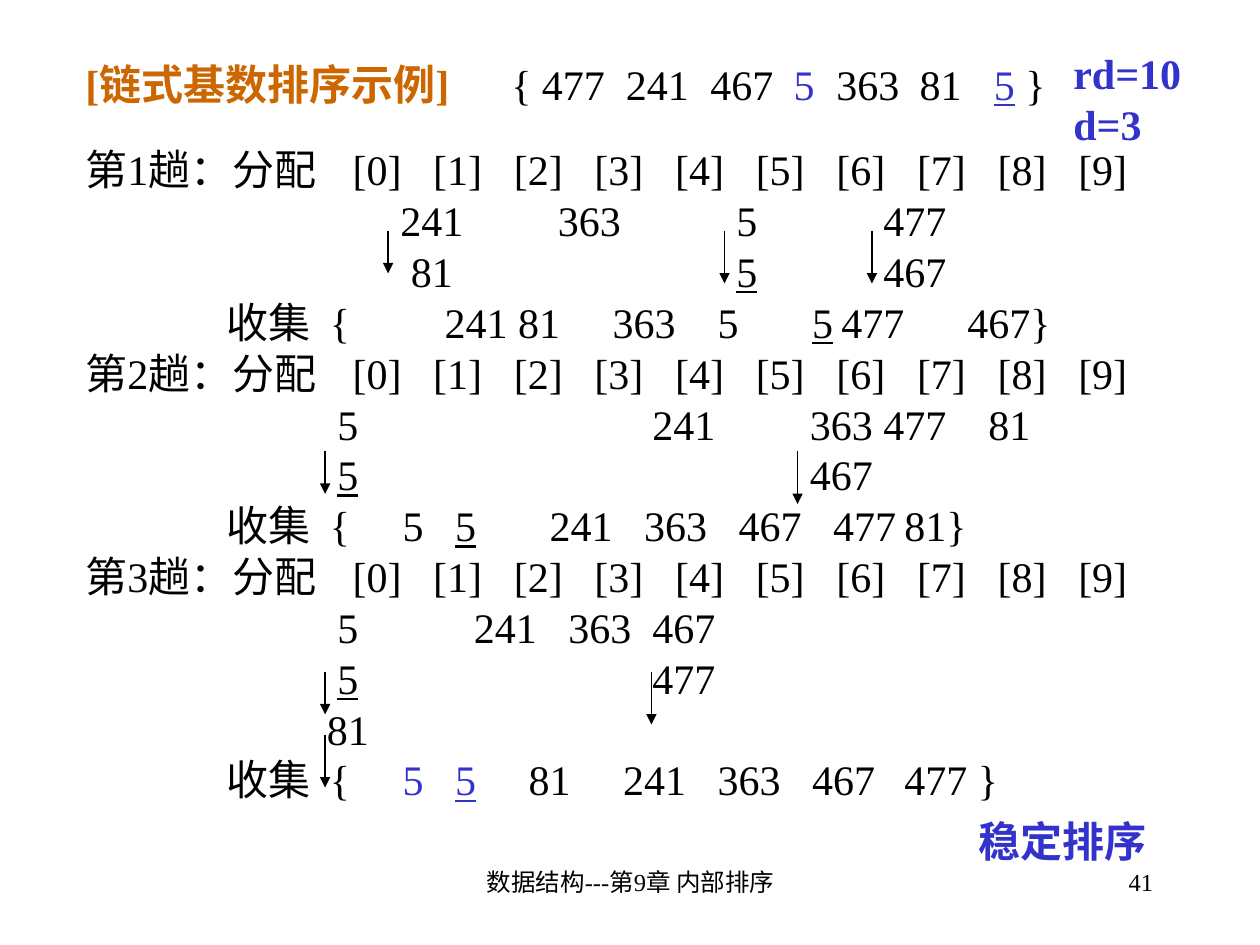
from dataclasses import dataclass

from lxml import etree
from pptx import Presentation
from pptx.dml.color import RGBColor
from pptx.enum.shapes import MSO_CONNECTOR
from pptx.enum.text import MSO_ANCHOR, PP_ALIGN
from pptx.oxml.ns import qn
from pptx.util import Inches, Pt

BLACK = RGBColor(0x00, 0x00, 0x00)
BLUE = RGBColor(0x33, 0x33, 0xCC)
ORANGE = RGBColor(0xCC, 0x66, 0x00)

# A digit at 24 points is two units wide
UNIT = 1 / 12
BUCKET_LEFT, BUCKET_STEP = 2.12, 0.64
COLLECT_LEFT, BRACE_LEFT, LIST_LEFT = 1.12, 1.94, 2.1


@dataclass
class Cell:
    left: float
    text: str
    color: RGBColor = BLACK
    underline: bool = False
    bold: bool = False


@dataclass
class SlideBuilder:
    slide: object
    font: str = "Times New Roman"
    size: int = 24

    def format_run(self, run, color=BLACK, bold=False, underline=False, size=None):
        run.font.name = self.font
        run.font.size = Pt(size or self.size)
        run.font.color.rgb = color
        run.font.bold = bold
        run.font.underline = underline

    def frame(self, left, top, width, height):
        box = self.slide.shapes.add_textbox(
            Inches(left), Inches(top), Inches(width), Inches(height))
        box.text_frame.word_wrap = True
        return box.text_frame

    def label(self, text, place, align=PP_ALIGN.LEFT, **style):
        paragraph = self.frame(*place).paragraphs[0]
        paragraph.text = text
        paragraph.alignment = align
        self.format_run(paragraph.runs[0], **style)

    def tabbed_line(self, paragraph, cells):
        """Place each cell at its own tab stop; a cell at 0 needs none."""
        stops = etree.SubElement(paragraph._p.get_or_add_pPr(), qn("a:tabLst"))
        for cell in cells:
            if cell.left:
                etree.SubElement(stops, qn("a:tab"),
                                 pos=str(Inches(cell.left)), algn="l")
                tab = paragraph.add_run()
                tab.text = "\t"
                self.format_run(tab)
            run = paragraph.add_run()
            run.text = cell.text
            self.format_run(run, cell.color, cell.bold, cell.underline)

    def title(self, place, cells):
        text_frame = self.frame(*place)
        text_frame.vertical_anchor = MSO_ANCHOR.MIDDLE
        self.tabbed_line(text_frame.paragraphs[0], cells)

    def body(self, place, rows):
        text_frame = self.frame(*place)
        for index, cells in enumerate(rows):
            paragraph = text_frame.add_paragraph() if index else text_frame.paragraphs[0]
            paragraph.line_spacing = 0.8
            paragraph.space_before = Pt(6)
            self.tabbed_line(paragraph, cells)

    def arrow(self, x, top, bottom):
        connector = self.slide.shapes.add_connector(
            MSO_CONNECTOR.STRAIGHT, Inches(x), Inches(top), Inches(x), Inches(bottom))
        connector.line.color.rgb = BLACK
        connector.line.width = Pt(0.75)
        etree.SubElement(connector.line._get_or_add_ln(), qn("a:tailEnd"), type="triangle")
        etree.SubElement(connector._element.spPr, qn("a:effectLst"))


def distribute(number):
    buckets = [Cell(BUCKET_LEFT + BUCKET_STEP * digit, f"[{digit}]") for digit in range(10)]
    return [Cell(0, f"第{number}趟：分配")] + buckets


def queue(*entries):
    """Entries are (column in units, number); a third item marks the second 5."""
    return [Cell(column * UNIT, text, underline=bool(second))
            for column, text, *second in entries]


def collect(numbers, ending="}", five_color=BLACK):
    cells = [Cell(COLLECT_LEFT, "收集"), Cell(BRACE_LEFT, "{")]
    left, fives = LIST_LEFT, 0
    for number in numbers.split():
        is_five = number == "5"
        fives += is_five
        cells.append(Cell(left, number, five_color if is_five else BLACK,
                          is_five and fives == 2))
        left += (2 * len(number) + 3) * UNIT
    # The closing brace follows the last number directly
    cells[-1].text += ending
    return cells


def main():
    presentation = Presentation()
    presentation.slide_width, presentation.slide_height = Inches(10), Inches(7.5)
    builder = SlideBuilder(presentation.slides.add_slide(presentation.slide_layouts[6]))

    # Footer
    builder.label("数据结构---第9章 内部排序", (3.42, 6.83, 3.17, 0.5), PP_ALIGN.CENTER, size=14)
    builder.label("41", (7.17, 6.83, 2.08, 0.5), PP_ALIGN.RIGHT, size=14)

    # Title with the input list
    builder.title((0.58, 0.5, 8.5, 0.33), [
        Cell(0, "[链式基数排序示例]", ORANGE, bold=True),
        Cell(3.38, "{ 477"), Cell(4.29, "241"), Cell(4.96, "467"),
        Cell(5.62, "5", BLUE), Cell(5.96, "363"), Cell(6.62, "81"),
        Cell(7.21, "5", BLUE, underline=True), Cell(7.46, "}"),
    ])

    # Three passes
    builder.body((0.58, 1.17, 8.83, 5.67), [
        distribute(1),
        queue((30, "241"), (45, "363"), (62, "5"), (76, "477")),
        queue((31, "81"), (62, "5", True), (76, "467")),
        collect("241 81 363 5 5 477 467"),
        distribute(2),
        queue((24, "5"), (54, "241"), (69, "363"), (76, "477"), (86, "81")),
        queue((24, "5", True), (69, "467")),
        collect("5 5 241 363 467 477 81"),
        distribute(3),
        queue((24, "5"), (37, "241"), (46, "363"), (54, "467")),
        queue((24, "5", True), (54, "477")),
        queue((23, "81")),
        collect("5 5 81 241 363 467 477", " }", BLUE),
    ])

    # Parameters and conclusion
    builder.label("rd=10 d=3", (8.42, 0.33, 1.17, 0.9), color=BLUE, bold=True)
    builder.label("稳定排序", (7.67, 6.42, 1.67, 0.5), color=BLUE, bold=True)

    # Links inside the queues
    for x, top, bottom in [
        (5.75, 1.83, 2.25), (3.08, 1.83, 2.17), (6.92, 1.83, 2.25),
        (2.58, 3.58, 3.92), (6.33, 3.58, 4), (2.58, 5.33, 5.67),
        (5.17, 5.33, 5.75), (2.58, 5.83, 6.25),
    ]:
        builder.arrow(x, top, bottom)

    presentation.save("out.pptx")


if __name__ == "__main__":
    main()
